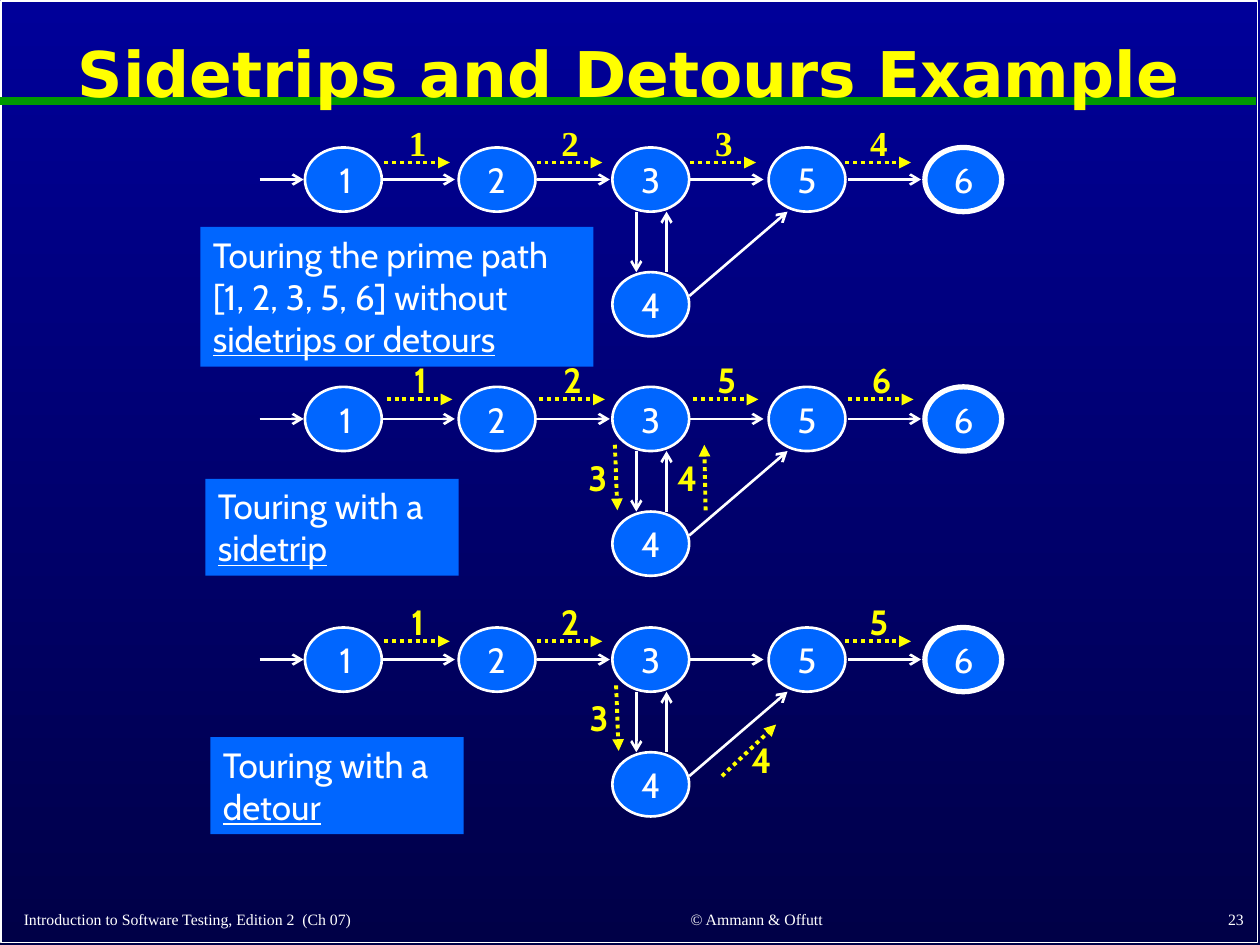
from lxml.etree import SubElement
from pptx import Presentation
from pptx.dml.color import RGBColor
from pptx.enum.dml import MSO_LINE as Dash
from pptx.enum.shapes import MSO_CONNECTOR as Conn, MSO_SHAPE as Form
from pptx.enum.text import MSO_ANCHOR as Anchor, PP_ALIGN as Align
from pptx.oxml.ns import qn
from pptx.util import Inches, Pt

WHITE = RGBColor(0xFF, 0xFF, 0xFF)
YELLOW = RGBColor(0xFF, 0xFF, 0x00)
BLUE = RGBColor(0x00, 0x66, 0xFF)
GREEN = RGBColor(0x00, 0x99, 0x00)
NAVY = RGBColor(0x00, 0x00, 0x99)
DARK = RGBColor(0x00, 0x00, 0x47)
SERIF = "Times New Roman"
SANS = "Cabin"

TOPS = [1.17, 3.07, 4.98]
NODES = {"1": 2.42, "2": 3.64, "3": 4.86, "5": 6.1, "6": 7.34}
STEPS = [3.03, 4.26, 5.48, 6.73]
WIDE, HIGH, DROP = 0.61, 0.51, 0.99


def write(shape, text, under="", size=20, font=SANS, color=WHITE, bold=False,
          align=Align.LEFT, anchor=Anchor.TOP, wrap=True, space=None):
    frame = shape.text_frame
    frame.word_wrap = wrap
    frame.vertical_anchor = anchor
    para = frame.paragraphs[0]
    para.alignment = align
    para.line_spacing = space
    for part in filter(None, (text, under)):
        run = para.add_run()
        run.text = part
        run.font.name = font
        run.font.size = Pt(size)
        run.font.bold = bold
        run.font.color.rgb = color
        if part == under:
            run.font.underline = True


class Board:
    def __init__(self, slide):
        self.slide = slide
        self.shapes = slide.shapes

    def paint(self, top, base):
        fill = self.slide.background.fill
        fill.gradient()
        fill.gradient_angle = 270
        for stop, color, place in zip(fill.gradient_stops, (top, base), (0, 1)):
            stop.color.rgb = color
            stop.position = place

    def form(self, kind, at, fill=None, line=None):
        shape = self.shapes.add_shape(kind, *map(Inches, at))
        shape.shadow.inherit = False
        if fill is None:
            shape.fill.background()
        else:
            shape.fill.solid()
            shape.fill.fore_color.rgb = fill
        if line is None:
            shape.line.fill.background()
        else:
            shape.line.color.rgb = WHITE
            shape.line.width = Pt(line)
        return shape

    def text(self, at, words, **style):
        write(self.shapes.add_textbox(*map(Inches, at)), words, **style)

    def note(self, at, words, under):
        write(self.form(Form.RECTANGLE, at, BLUE), words, under)

    def line(self, ends, color=WHITE, width=1.5, dash=None, tip="arrow"):
        link = self.shapes.add_connector(Conn.STRAIGHT, *map(Inches, ends))
        link.line.color.rgb = color
        link.line.width = Pt(width)
        if dash:
            link.line.dash_style = dash
        if tip:
            SubElement(link.line._get_or_add_ln(), qn("a:tailEnd"), type=tip)
        SubElement(link._element.spPr, qn("a:effectLst"))

    def node(self, left, top, name):
        self.form(Form.OVAL, (left, top, WIDE, HIGH), BLUE, 3 if name == "6" else 1.5)
        self.text((left + 0.13, top + 0.04, 0.34, 0.44), name, wrap=False,
                  align=Align.RIGHT if name in "14" else Align.LEFT)

    def graph(self, top):
        mid, foot, low = top + 0.255, top + HIGH, top + DROP
        for name, left in NODES.items():
            self.node(left, top, name)
        self.node(NODES["3"], low, "4")
        self.line((2.06, mid, 2.41, mid))
        for left in STEPS:
            self.line((left, mid, left + 0.58, mid))
        self.line((5.05, foot, 5.05, low))
        self.line((5.29, low, 5.29, foot))
        self.line((5.47, top + 1.18, 6.25, foot))

    def trail(self, ends, spot, name, font=SANS):
        self.line(ends, YELLOW, 2.25, Dash.ROUND_DOT, "triangle")
        self.text((*spot, 0.39, 0.43), name, font=font, color=YELLOW,
                  bold=True, align=Align.CENTER)

    def across(self, left, top, name, font=SANS):
        self.trail((left, top, left + 0.52, top), (left + 0.07, top - 0.375), name, font)

    def down(self, left, top, name):
        self.trail((left, top, left + 0.02, top + 0.52), (left - 0.33, top + 0.04), name)


def main():
    deck = Presentation()
    deck.slide_width, deck.slide_height = Inches(10), Inches(7.5)
    board = Board(deck.slides.add_slide(deck.slide_layouts[6]))
    board.paint(NAVY, DARK)
    board.form(Form.RECTANGLE, (0.01, 0.01, 9.97, 7.47), line=1)
    board.line((0, 0.8, 9.97, 0.8), GREEN, 4.5, tip=None)

    feet = [
        ((0.09, 7.12, 4.12, 0.3), "Introduction to Software Testing, Edition 2  (Ch 07)", Align.LEFT),
        ((4.42, 7.11, 3.17, 0.31), "© Ammann & Offutt", Align.CENTER),
        ((7.89, 7.1, 2.08, 0.32), "23", Align.RIGHT),
    ]
    for at, words, align in feet:
        board.text(at, words, size=9, font=SERIF, align=align,
                   anchor=Anchor.BOTTOM, wrap=False)
    board.text((0.09, 0.11, 9.8, 1), "Sidetrips and Detours Example", size=36,
               font="DejaVu Sans", color=YELLOW, bold=True, align=Align.CENTER,
               anchor=Anchor.MIDDLE, space=0.9)

    for top in TOPS:
        board.graph(top)

    tours = [
        (1.29, 0.02, "1234", SERIF),
        (3.17, 0.04, "1256", SANS),
        (5.09, 0.02, "12 5", SANS),
    ]
    for top, shift, names, font in tours:
        for left, name in zip((3.03, 4.24, 5.46, 6.69), names):
            if name != " ":
                board.across(left + shift, top, name, font)
    board.down(4.88, 3.53, "3")
    board.down(4.89, 5.44, "3")
    board.trail((5.6, 4.05, 5.59, 3.53), (5.26, 3.57), "4")
    board.trail((5.73, 6.16, 6.16, 5.75), (5.85, 5.81), "4")

    board.note((1.59, 1.8, 3.12, 1.11), "Touring the prime path [1, 2, 3, 5, 6] without ",
               "sidetrips or detours")
    board.note((1.63, 3.8, 2.01, 0.77), "Touring with a ", "sidetrip")
    board.note((1.67, 5.85, 2.01, 0.77), "Touring with a ", "detour")
    deck.save("out.pptx")


if __name__ == "__main__":
    main()
